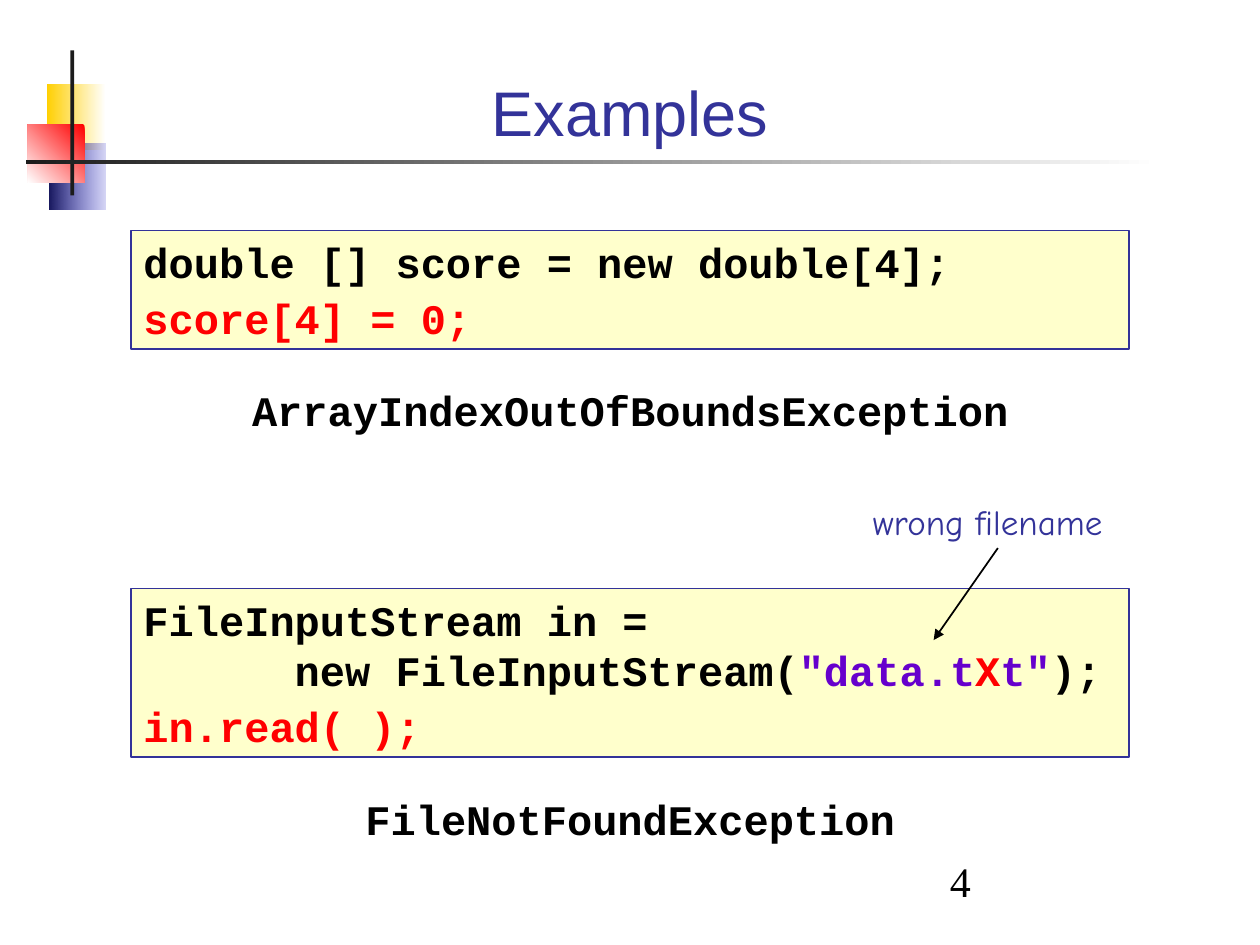
"""Build the slide with two code examples and the exceptions they raise."""
from lxml.etree import SubElement
from pptx import Presentation
from pptx.dml.color import RGBColor
from pptx.enum.shapes import MSO_CONNECTOR, MSO_SHAPE
from pptx.enum.text import MSO_ANCHOR, MSO_AUTO_SIZE, PP_ALIGN
from pptx.oxml.ns import qn
from pptx.util import Inches, Pt

BLACK, RED, PURPLE, NAVY, CREAM = "000000", "FF0000", "6600CC", "333399", "FFFFCC"
WHITE, DARK = "FFFFFF", "1C1C1C"
CODE = {"size": Pt(24), "name": "Courier New", "bold": True}
TITLE = {"size": Pt(36), "name": "Arial", "bold": False}
NOTE = {"size": Pt(20), "name": "Comic Neue", "bold": False}
NUMBER = {"size": Pt(24), "name": "Times New Roman", "bold": False}
LEFT, WIDTH = 1.04, 7.92

DECORATION = [
    ((0.37, 0.67, 0.47, 0.52), (WHITE, "FFCF01"), 180, 100),
    ((0.39, 1.14, 0.45, 0.52), ("3333CC", "17175E"), 180, 20),
    ((0.22, 0.99, 0.45, 0.46), (RED, WHITE), 225, 100),
    ((0.56, 0.4, 0.03, 1.15), (DARK, DARK), 180, 100),
    ((0.21, 1.27, 8.99, 0.03), (WHITE, DARK), 180, 100),
]
EXAMPLES = [
    (1.83, 0.94, [
        [("double [] score = new double[4];", BLACK)],
        [("score[4] = 0;", RED)],
    ], 3, "ArrayIndexOutOfBoundsException"),
    (4.67, 1.34, [
        [("FileInputStream in =\n      new FileInputStream(", BLACK), ('"data.t', PURPLE),
         ("X", RED), ('t"', PURPLE), (");", BLACK)],
        [("in.read( );", RED)],
    ], 6.25, "FileNotFoundException"),
]


def color(value):
    return RGBColor.from_string(value)


def lengths(values):
    return [Inches(value) for value in values]


def write(box, paragraphs, font, align=PP_ALIGN.LEFT, anchor=MSO_ANCHOR.TOP,
          fit=MSO_AUTO_SIZE.SHAPE_TO_FIT_TEXT):
    frame = box.text_frame
    settings = {"word_wrap": True, "auto_size": fit, "vertical_anchor": anchor}
    for name, value in settings.items():
        setattr(frame, name, value)
    for index, spans in enumerate(paragraphs):
        para = frame.add_paragraph() if index else frame.paragraphs[0]
        para.alignment = align
        para.space_before = Pt(3 if index else 0)
        for text, tint in spans:
            for row, line in enumerate(text.split("\n")):
                if row:
                    para.add_line_break()
                span = para.add_run()
                span.text = line
                for name, value in font.items():
                    setattr(span.font, name, value)
                span.font.color.rgb = color(tint)


def add_box(page, place):
    box = page.shapes.add_shape(MSO_SHAPE.RECTANGLE, *lengths(place))
    box.shadow.inherit = False
    return box


def add_decoration(page, place, tints, angle, opacity):
    box = add_box(page, place)
    box.line.fill.background()
    if tints[0] == tints[1]:
        box.fill.solid()
        box.fill.fore_color.rgb = color(tints[0])
        return
    box.fill.gradient()
    box.fill.gradient_angle = angle
    for stop, tint, position in zip(box.fill.gradient_stops, tints, (0, 1)):
        stop.color.rgb = color(tint)
        stop.position = position
    if opacity < 100:
        first = next(box._element.iter(qn("a:srgbClr")))
        SubElement(first, qn("a:alpha"), val=str(opacity * 1000))


def add_code(page, top, height, lines):
    box = add_box(page, (LEFT, top, WIDTH, height))
    box.fill.solid()
    box.fill.fore_color.rgb = color(CREAM)
    box.line.color.rgb = color(NAVY)
    box.line.width = Pt(1)
    write(box, lines, CODE)


def add_label(page, place, text, tint, font, **options):
    write(page.shapes.add_textbox(*lengths(place)), [[(text, tint)]], font, **options)


def add_arrow(page, start, end):
    arrow = page.shapes.add_connector(MSO_CONNECTOR.STRAIGHT, *lengths(start + end))
    arrow.line.color.rgb = color(BLACK)
    arrow.line.width = Pt(1)
    SubElement(arrow.line._get_or_add_ln(), qn("a:tailEnd"), type="triangle")
    SubElement(arrow._element.spPr, qn("a:effectLst"))


def main():
    deck = Presentation()
    deck.slide_width, deck.slide_height = lengths((10, 7.5))
    page = deck.slides.add_slide(deck.slide_layouts[5])
    for item in DECORATION:
        add_decoration(page, *item)
    title = page.shapes.title
    title.left, title.top, title.width, title.height = lengths((0.67, 0.42, 8.66, 0.81))
    write(title, [[("Examples", NAVY)]], TITLE, PP_ALIGN.CENTER, MSO_ANCHOR.BOTTOM,
          MSO_AUTO_SIZE.NONE)
    for top, height, lines, label_top, exception in EXAMPLES:
        add_code(page, top, height, lines)
        add_label(page, (LEFT, label_top, WIDTH, 0.5), exception, BLACK, CODE,
                  align=PP_ALIGN.CENTER)
    add_label(page, (6.83, 3.92, 2.67, 0.44), "wrong filename", NAVY, NOTE)
    add_arrow(page, (7.92, 4.35), (7.41, 5.08))
    add_label(page, (7.44, 6.74, 2.08, 0.5), "4", BLACK, NUMBER,
              anchor=MSO_ANCHOR.BOTTOM, fit=MSO_AUTO_SIZE.NONE)
    deck.save("out.pptx")


if __name__ == "__main__":
    main()
